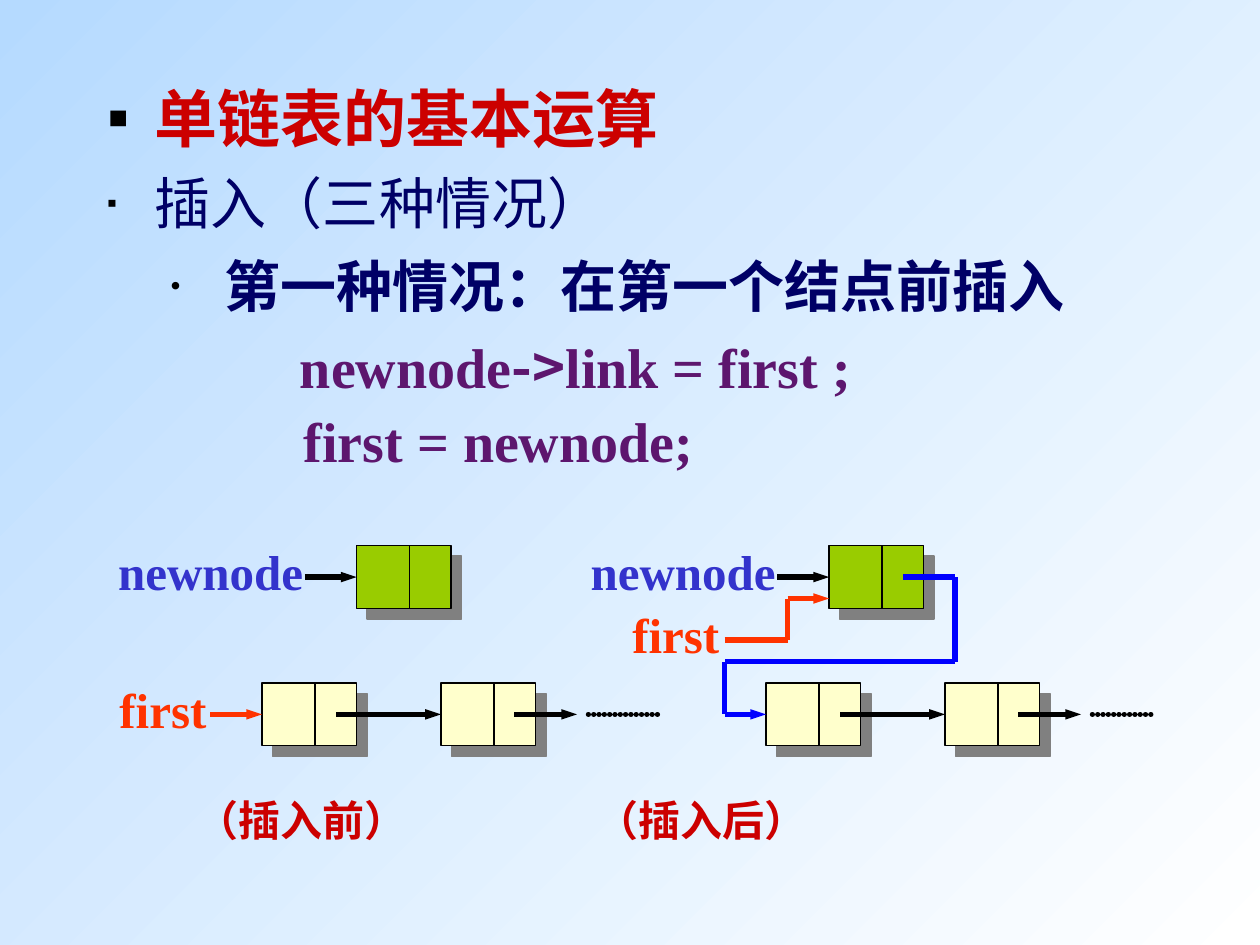
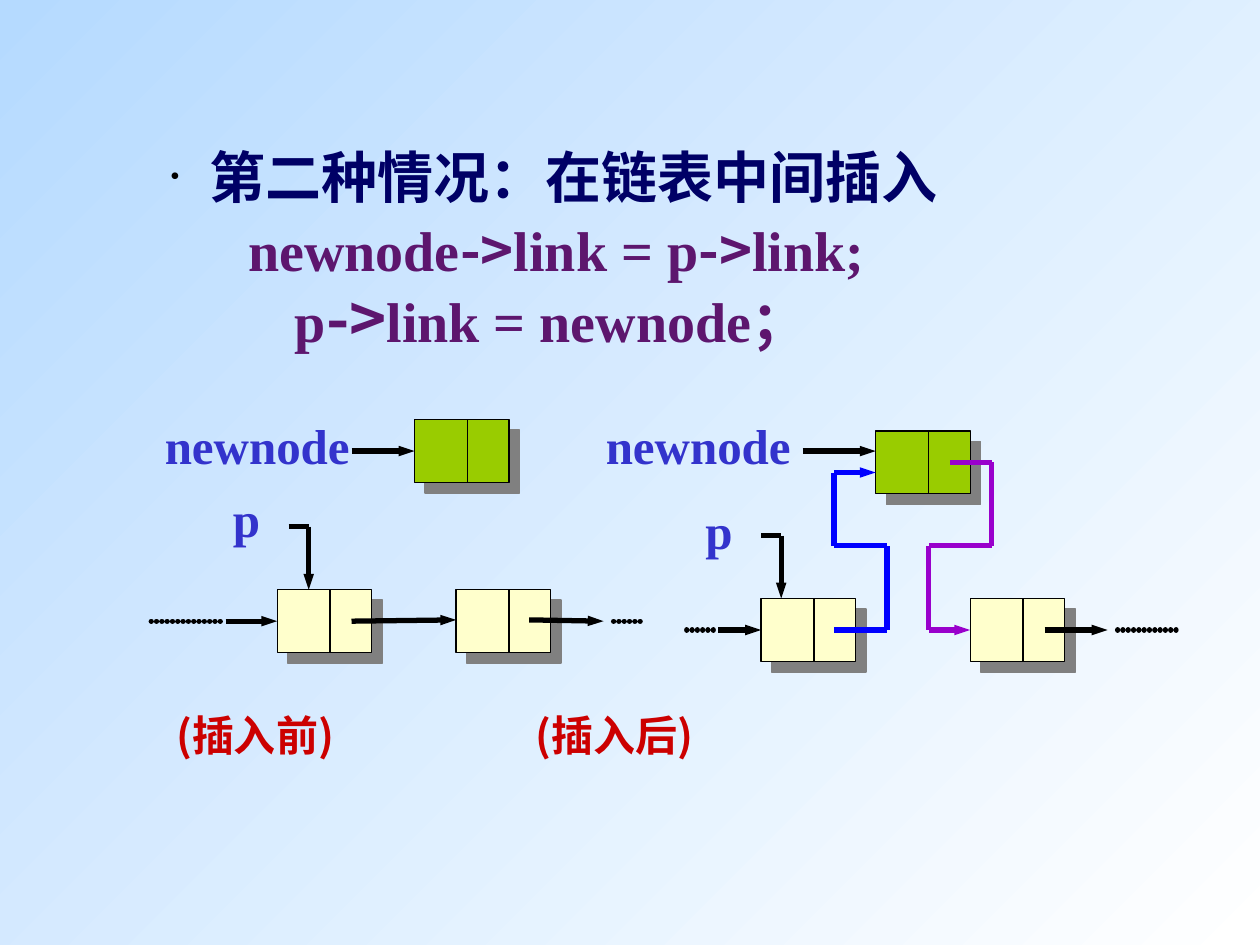
from itertools import pairwise

from lxml.etree import SubElement
from pptx import Presentation
from pptx.dml.color import RGBColor
from pptx.enum.shapes import MSO_CONNECTOR as Connector, MSO_SHAPE as Shape
from pptx.enum.text import MSO_AUTO_SIZE as AutoSize, MSO_ANCHOR as Anchor
from pptx.oxml.ns import qn
from pptx.util import Inches, Pt

BLACK = RGBColor(0x00, 0x00, 0x00)
SKY = RGBColor(0xB5, 0xDA, 0xFF)
WHITE = RGBColor(0xFF, 0xFF, 0xFF)
RED = RGBColor(0xCC, 0x00, 0x00)
NAVY = RGBColor(0x00, 0x00, 0x66)
PLUM = RGBColor(0x5D, 0x16, 0x6E)
INDIGO = RGBColor(0x33, 0x33, 0xCC)
ORANGE = RGBColor(0xFF, 0x33, 0x00)
BLUE = RGBColor(0x00, 0x00, 0xFF)
VIOLET = RGBColor(0x99, 0x00, 0xCC)
CREAM = RGBColor(0xFF, 0xFF, 0xCC)
GREEN = RGBColor(0x99, 0xCC, 0x00)
GREY = RGBColor(0x80, 0x80, 0x80)

LATIN = "Times New Roman"
CHINESE = "Noto Sans CJK SC"

NODE_WIDTH, NODE_HEIGHT, DATA_WIDTH = 0.75, 0.5, 0.42


def add_element(parent, tag, **attributes):
    element = SubElement(parent, qn(tag))
    for name, value in attributes.items():
        element.set(name, str(value))
    return element


def write(paragraph, text, size=32, color=PLUM, bold=True, font=LATIN):
    run = paragraph.add_run()
    run.text = text
    run.font.size = Pt(size)
    run.font.bold = bold
    run.font.name = font
    run.font.color.rgb = color
    add_element(run._r.get_or_add_rPr(), "a:ea", typeface=CHINESE)


def write_code(paragraph, code, arrow_size=32):
    """Write code with its -> operators in the Chinese font."""
    for index, part in enumerate(code.split("->")):
        if index:
            write(paragraph, "->", size=arrow_size, font=CHINESE)
        write(paragraph, part)


class Deck:
    def __init__(self):
        self.presentation = Presentation()
        self.presentation.slide_width = Inches(10)
        self.presentation.slide_height = Inches(7.5)
        fill = self.presentation.slide_master.background.fill
        fill.gradient()
        fill.gradient_angle = 315
        for stop, color, position in zip(fill.gradient_stops, (SKY, WHITE), (0, 1)):
            stop.color.rgb = color
            stop.position = position
        self.slide = None
        self.body = None

    def new_slide(self, body_top, body_height):
        self.slide = self.presentation.slides.add_slide(
            self.presentation.slide_layouts[1])
        title, body = self.slide.placeholders
        title._element.getparent().remove(title._element)
        body.left, body.top = Inches(0.75), Inches(body_top)
        body.width, body.height = Inches(8.5), Inches(body_height)
        self.body = body.text_frame
        self.body.word_wrap = True
        self.body.auto_size = AutoSize.NONE
        self.body.vertical_anchor = Anchor.TOP

    def body_line(self, margin, hanging=0, bullet=None, bullet_size=100,
                  before=0, spacing=1.0, level=0):
        paragraph = self.body.paragraphs[0]
        if paragraph.runs:
            paragraph = self.body.add_paragraph()
        paragraph.level = level
        paragraph.space_before = Pt(before)
        paragraph.line_spacing = spacing
        properties = paragraph._p.get_or_add_pPr()
        properties.set("marL", str(Inches(margin)))
        properties.set("indent", str(-Inches(hanging)))
        if bullet:
            color = add_element(properties, "a:buClr")
            add_element(color, "a:srgbClr", val=BLACK)
            add_element(properties, "a:buSzPct", val=bullet_size * 1000)
            add_element(properties, "a:buFont", typeface=LATIN)
            add_element(properties, "a:buChar", char=bullet)
        else:
            add_element(properties, "a:buNone")
        return paragraph

    def label(self, text, left, top, width, height=0.57, tab=None, **style):
        box = self.slide.shapes.add_textbox(
            Inches(left), Inches(top), Inches(width), Inches(height))
        box.text_frame.word_wrap = True
        paragraph = box.text_frame.paragraphs[0]
        if tab:
            tabs = add_element(paragraph._p.get_or_add_pPr(), "a:tabLst")
            add_element(tabs, "a:tab", pos=Inches(tab), algn="l")
        write(paragraph, text, **style)

    def pointer_name(self, text, left, top, width, color=INDIGO):
        self.label(text, left, top, width, size=28, color=color)

    def captions(self, text, left, top, tab):
        self.label(text, left, top, 6.86, 0.5, tab=tab,
                   size=24, color=RED, font=CHINESE)

    def line(self, start, end, color=BLACK, width=3, arrow=False, dotted=False):
        connector = self.slide.shapes.add_connector(
            Connector.STRAIGHT, *map(Inches, (*start, *end)))
        connector.line.color.rgb = color
        connector.line.width = Pt(width)
        outline = connector.line._get_or_add_ln()
        if dotted:
            outline.set("cap", "rnd")
            dashes = add_element(outline, "a:custDash")
            add_element(dashes, "a:ds", d=100000, sp=1000)
        if arrow:
            add_element(outline, "a:tailEnd", type="triangle", w="sm", len="med")
        add_element(connector._element.spPr, "a:effectLst")

    def link(self, *points, color=BLACK):
        """Draw a bent pointer that ends in an arrowhead."""
        for start, end in pairwise(points):
            self.line(start, end, color, arrow=end == points[-1])

    def dots(self, left, right, y):
        self.line((left, y), (right, y), dotted=True)

    def node(self, left, top, color=CREAM):
        """Draw a list node: a data cell and a link cell."""
        box = self.slide.shapes.add_shape(
            Shape.RECTANGLE, Inches(left), Inches(top),
            Inches(NODE_WIDTH), Inches(NODE_HEIGHT))
        box.fill.solid()
        box.fill.fore_color.rgb = color
        box.line.color.rgb = BLACK
        box.line.width = Pt(0.75)
        box.shadow.inherit = False
        effects = box._element.spPr.find(qn("a:effectLst"))
        shadow = add_element(effects, "a:outerShdw", blurRad=0, dist=Pt(8.5),
                             dir=45 * 60000, algn="ctr", rotWithShape=0)
        add_element(shadow, "a:srgbClr", val=GREY)
        divider = left + DATA_WIDTH
        self.line((divider, top), (divider, top + NODE_HEIGHT), width=0.75)


def build_insert_at_head(deck):
    deck.new_slide(0.58, 5.67)
    write(deck.body_line(0.38, 0.38, "▪"), "单链表的基本运算", size=36, color=RED)
    write(deck.body_line(0.38, 0.38, "▪", 50, before=8),
          "插入（三种情况）", color=NAVY, bold=False)
    write(deck.body_line(0.93, 0.43, "•", 56, before=9, level=1),
          "第一种情况：在第一个结点前插入", color=NAVY)
    write_code(deck.body_line(1.53, before=7.5), "newnode->link = first ;")
    write_code(deck.body_line(1.56, before=4), "first = newnode;")

    deck.captions("（插入前）\t（插入后）", 1.46, 6.26, tab=3.18)

    list_top, list_middle = 5.42, 5.67
    for new_left, first_left, dots_end in ((2.83, 2.08, 5.25), (6.58, 6.08, 9.17)):
        deck.pointer_name("newnode", new_left - 1.99, 4.25, 1.8)
        deck.node(new_left, 4.33, GREEN)
        deck.link((new_left - 0.41, 4.58), (new_left, 4.58))
        second_left = first_left + 1.42
        deck.node(first_left, list_top)
        deck.node(second_left, list_top)
        deck.link((first_left + 0.59, list_middle), (second_left, list_middle))
        deck.link((second_left + 0.58, list_middle), (second_left + 1.08, list_middle))
        deck.dots(second_left + 1.17, dots_end, list_middle)

    deck.pointer_name("first", 0.85, 5.34, 0.9, ORANGE)
    deck.link((1.67, list_middle), (2.08, list_middle), color=ORANGE)
    deck.pointer_name("first", 4.92, 4.75, 0.9, ORANGE)
    deck.link((5.75, 5.08), (6.25, 5.08), (6.25, 4.75), (6.58, 4.75), color=ORANGE)
    deck.link((7.17, 4.58), (7.58, 4.58), (7.58, 5.25), (5.75, 5.25),
              (5.75, list_middle), (6.08, list_middle), color=BLUE)


def build_insert_in_middle(deck):
    deck.new_slide(1.08, 5.58)
    write(deck.body_line(0.81, 0.31, "•", 50, level=1),
          "第二种情况：在链表中间插入", color=NAVY)
    write_code(deck.body_line(1.12, before=3.4, level=1), "newnode->link = p->link;")
    write_code(deck.body_line(1.49, spacing=0.98), "p->link = newnode；",
               arrow_size=36)

    deck.captions("(插入前)\t(插入后)", 1.3, 5.58, tab=2.85)

    for name_left, new_left, new_top in ((1.21, 3.29, 3.33), (4.71, 6.95, 3.42)):
        deck.pointer_name("newnode", name_left, 3.25, 1.8)
        deck.node(new_left, new_top, GREEN)
    deck.link((2.79, 3.58), (3.29, 3.58))
    deck.link((6.37, 3.58), (6.95, 3.58))

    for p_left, p_top, before_left, after_left, top, corner in (
            (1.75, 3.83, 2.2, 3.62, 4.68, 2.45),
            (5.5, 3.92, 6.04, 7.7, 4.75, 6.2)):
        deck.pointer_name("p", p_left, p_top, 0.41)
        deck.node(before_left, top)
        deck.node(after_left, top)
        deck.link((corner - 0.16, top - 0.5), (corner, top - 0.5), (corner, top))

    deck.dots(1.2, 1.79, 4.93)
    deck.link((1.79, 4.93), (2.2, 4.93))
    deck.link((2.79, 4.93), (3.62, 4.92))
    deck.link((4.2, 4.92), (4.79, 4.93))
    deck.dots(4.87, 5.12, 4.93)

    deck.dots(5.45, 5.7, 5)
    deck.link((5.7, 5), (6.04, 5))
    deck.link((8.29, 5), (8.79, 5))
    deck.dots(8.87, 9.37, 5)
    deck.link((6.62, 5), (7.04, 5), (7.04, 4.33), (6.62, 4.33),
              (6.62, 3.75), (6.95, 3.75), color=BLUE)
    deck.link((7.54, 3.67), (7.87, 3.67), (7.87, 4.33), (7.37, 4.33),
              (7.37, 5), (7.7, 5), color=VIOLET)


def main():
    deck = Deck()
    build_insert_at_head(deck)
    build_insert_in_middle(deck)
    deck.presentation.save("out.pptx")


if __name__ == "__main__":
    main()
